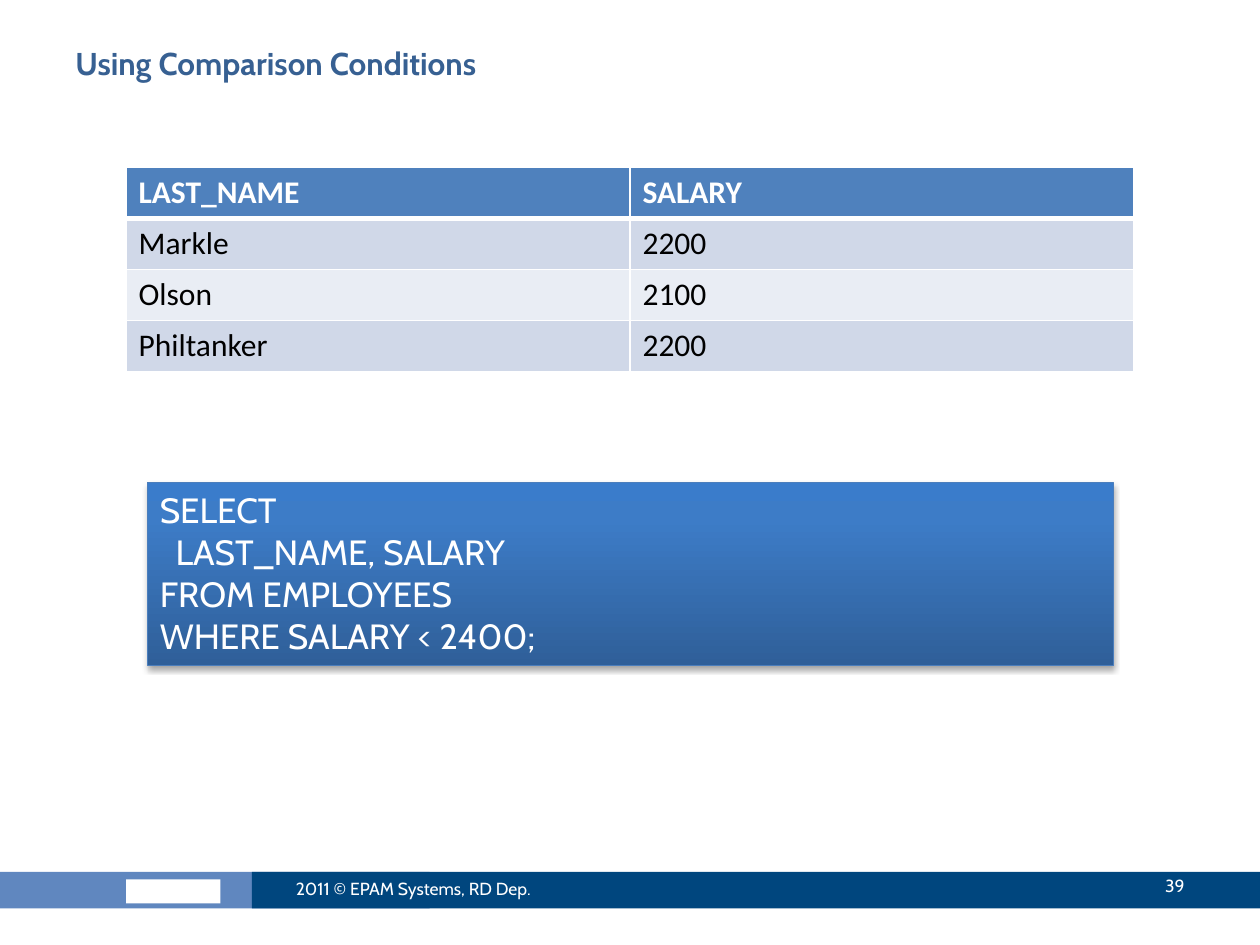
from lxml import etree
from pptx import Presentation
from pptx.dml.color import RGBColor
from pptx.enum import shapes, text
from pptx.oxml.ns import qn
from pptx.util import Inches, Pt

WHITE = RGBColor(255, 255, 255)
BLACK = RGBColor(0, 0, 0)
TITLE = RGBColor(0x37, 0x60, 0x92)
PALE = RGBColor(0x60, 0x87, 0xBF)
NAVY = RGBColor(0x00, 0x46, 0x7E)
HEAD = RGBColor(0x4F, 0x81, 0xBD)
BANDS = [RGBColor(0xE9, 0xED, 0xF4), RGBColor(0xD0, 0xD8, 0xE8)]
EDGE = RGBColor(0x4B, 0x7E, 0xBC)
STOPS = [
    (0, RGBColor(0x2F, 0x5F, 0x99)),
    (80, RGBColor(0x3D, 0x7C, 0xC7)),
    (100, RGBColor(0x3A, 0x7C, 0xCB)),
]

ROWS = [
    ("LAST_NAME", "SALARY"),
    ("Markle", "2200"),
    ("Olson", "2100"),
    ("Philtanker", "2200"),
]
QUERY = "SELECT\n  LAST_NAME, SALARY\nFROM EMPLOYEES\nWHERE SALARY < 2400;"


def node(parent, tag, **attrs):
    return etree.SubElement(parent, qn(tag), {k: str(v) for k, v in attrs.items()})


def style(frame, size, color, bold=False, font="Cabin", align=text.PP_ALIGN.LEFT):
    for par in frame.paragraphs:
        par.alignment = align
        for run in par.runs:
            run.font.name = font
            run.font.size = Pt(size)
            run.font.bold = bold
            run.font.color.rgb = color


def add_box(slide, box, color):
    shape = slide.shapes.add_shape(shapes.MSO_SHAPE.RECTANGLE, *map(Inches, box))
    shape.shadow.inherit = False
    shape.fill.solid()
    shape.fill.fore_color.rgb = color
    shape.line.fill.background()
    return shape


def add_label(slide, box, words, size, color, anchor=text.MSO_ANCHOR.MIDDLE, **look):
    frame = slide.shapes.add_textbox(*map(Inches, box)).text_frame
    frame.word_wrap = True
    frame.vertical_anchor = anchor
    frame.text = words
    style(frame, size, color, **look)


def add_borders(cell, head):
    props = cell._tc.get_or_add_tcPr()
    for side in "LRTB":
        width = 3 if head and side == "B" else 1
        line = node(props, f"a:ln{side}", w=Pt(width))
        node(node(line, "a:solidFill"), "a:srgbClr", val=WHITE)


def add_grid(slide, box):
    grid = slide.shapes.add_table(len(ROWS), len(ROWS[0]), *map(Inches, box)).table
    for r, row in enumerate(ROWS):
        head = r == 0
        for c, words in enumerate(row):
            cell = grid.cell(r, c)
            cell.text = words
            style(cell.text_frame, 18, WHITE if head else BLACK, head, "Calibri")
            add_borders(cell, head)
            cell.fill.solid()
            cell.fill.fore_color.rgb = HEAD if head else BANDS[r % 2]


def add_query(slide, box):
    """Code panel with a vertical gradient and a soft shadow below."""
    shape = add_box(slide, box, HEAD)
    shape.fill.gradient()
    shape.fill.gradient_angle = 90
    stops = shape._element.spPr.find(".//" + qn("a:gsLst"))
    for stop in list(stops):
        stops.remove(stop)
    for pos, color in STOPS:
        node(node(stops, "a:gs", pos=pos * 1000), "a:srgbClr", val=color)
    shape.line.color.rgb = EDGE
    shape.line.width = Pt(0.75)

    effects = shape._element.spPr.find(qn("a:effectLst"))
    shade = node(effects, "a:outerShdw", blurRad=Pt(3.1), dist=Pt(1.8),
                 dir=90 * 60000, rotWithShape=0)
    node(node(shade, "a:srgbClr", val=BLACK), "a:alpha", val=35000)

    frame = shape.text_frame
    frame.vertical_anchor = text.MSO_ANCHOR.TOP
    frame.text = QUERY
    style(frame, 20, WHITE)
    frame.auto_size = text.MSO_AUTO_SIZE.SHAPE_TO_FIT_TEXT


def main():
    deck = Presentation()
    deck.slide_width, deck.slide_height = Inches(10), Inches(7.5)
    slide = deck.slides.add_slide(deck.slide_layouts[6])

    add_box(slide, (-0.02, 6.92, 3.43, 0.29), PALE)
    add_box(slide, (1, 6.98, 0.75, 0.19), WHITE)
    add_box(slide, (2, 6.92, 8, 0.29), NAVY)
    add_label(slide, (0.5, 0.3, 9, 0.78), "Using Comparison Conditions", 18, TITLE,
              text.MSO_ANCHOR.TOP, bold=True)
    add_grid(slide, (1, 1.33, 8, 1.62))
    add_label(slide, (2.25, 6.85, 2.67, 0.4), "2011 © EPAM Systems, RD Dep.", 10, WHITE)
    add_label(slide, (8.42, 6.83, 1.08, 0.4), "39", 10, WHITE,
              align=text.PP_ALIGN.RIGHT)
    add_query(slide, (1.17, 3.83, 7.67, 1.45))
    deck.save("out.pptx")


if __name__ == "__main__":
    main()
